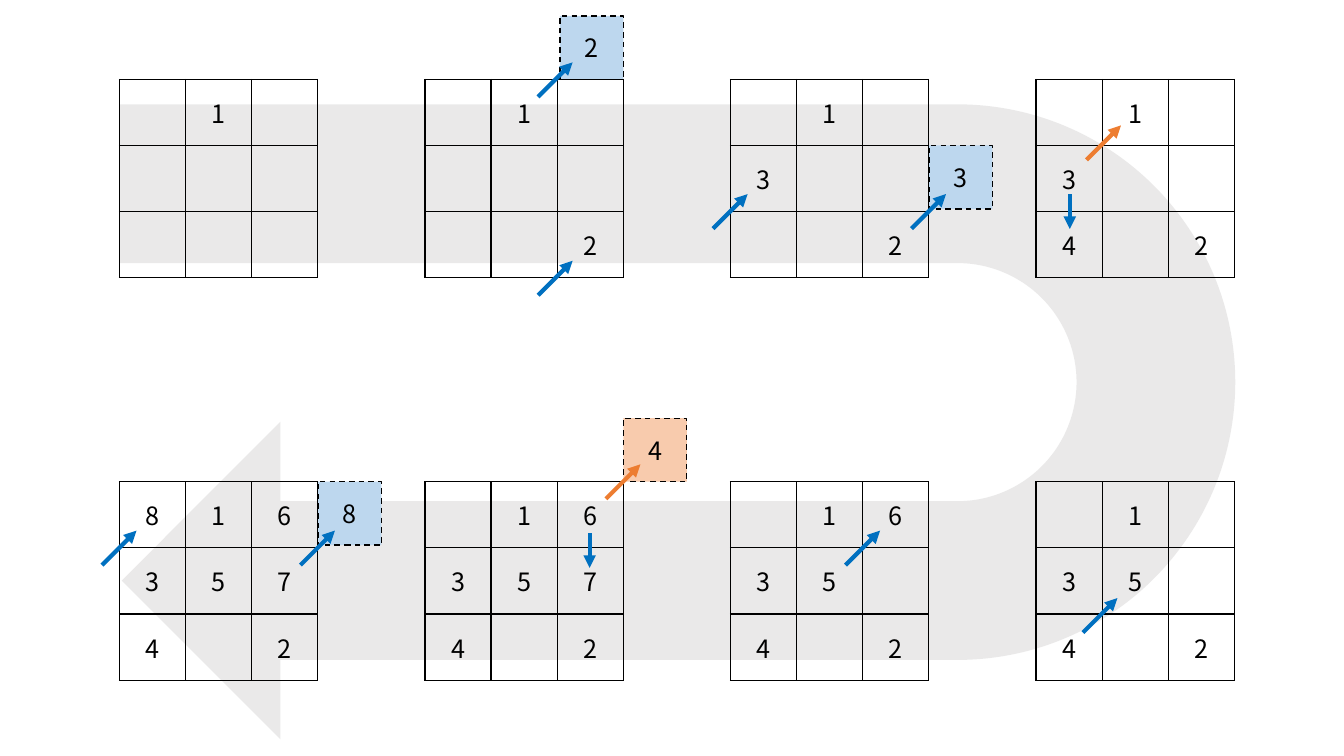
from lxml.etree import SubElement
from pptx import Presentation
from pptx.dml.color import RGBColor
from pptx.enum.dml import MSO_LINE
from pptx.enum.shapes import MSO_CONNECTOR, MSO_SHAPE
from pptx.enum.text import MSO_ANCHOR, PP_ALIGN
from pptx.oxml.ns import qn
from pptx.util import Cm, Pt

FONT = "Noto Sans CJK KR"
COLORS = {"ink": "000000", "path": "AFABAB", "blue": "0070C0", "orange": "ED7D31",
          "pale blue": "BDD7EE", "pale orange": "F8CBAD"}

GRIDS = [
    [" 1 ", "   ", "   "],
    [" 1 ", "   ", "  2"],
    [" 1 ", "3  ", "  2"],
    [" 1 ", "3  ", "4 2"],
    [" 1 ", "35 ", "4 2"],
    [" 16", "35 ", "4 2"],
    [" 16", "357", "4 2"],
    ["816", "357", "4 2"],
]

GRID, TILE, DIAGONAL = 5, 1.6, 0.87
CELL = GRID / 3
LEFT, TOP, PITCH_X, PITCH_Y = 3.01, 2, 7.7, 10.14

OUTSIDE_TILES = [
    (7, "8", GRID, 0, "pale blue"),
    (2, "3", GRID, CELL, "pale blue"),
    (6, "4", GRID, -TILE, "pale orange"),
    (1, "2", GRID - TILE, -TILE, "pale blue"),
]

UP, DOWN = (DIAGONAL, -DIAGONAL), (0, DIAGONAL)
ARROWS = [
    (1, 2.85, 0.44, UP, "blue"),
    (1, 2.85, 5.44, UP, "blue"),
    (2, 4.56, 3.76, UP, "blue"),
    (2, -0.44, 3.76, UP, "blue"),
    (3, 1.27, 2.03, UP, "orange"),
    (3, 0.85, 2.9, DOWN, "blue"),
    (4, 1.18, 3.8, UP, "blue"),
    (5, 2.9, 2.1, UP, "blue"),
    (6, 4.56, 0.43, UP, "orange"),
    (6, 4.15, 1.3, DOWN, "blue"),
    (7, 4.56, 2.1, UP, "blue"),
    (7, -0.44, 2.1, UP, "blue"),
]


def rgb(name):
    return RGBColor.from_string(COLORS[name])


def origin(step):
    column = step if step < 4 else 7 - step
    return LEFT + column * PITCH_X, TOP + step // 4 * PITCH_Y


def write(tf, text):
    p = tf.paragraphs[0]
    p.text = text
    p.alignment = PP_ALIGN.CENTER
    p.font.name, p.font.size, p.font.bold = FONT, Pt(18), False
    p.font.color.rgb = rgb("ink")


def add_border(cell):
    tc_pr = cell._tc.get_or_add_tcPr()
    for side in ("a:lnL", "a:lnR", "a:lnT", "a:lnB"):
        ln = SubElement(tc_pr, qn(side), w=str(Pt(1)))
        fill = SubElement(ln, qn("a:solidFill"))
        SubElement(fill, qn("a:srgbClr"), val=COLORS["ink"])


def add_path():
    sp = shapes.add_shape(MSO_SHAPE.U_TURN_ARROW, Cm(9.07), Cm(-3.43), Cm(16), Cm(28.12))
    sp.rotation = 90
    for i, value in enumerate((0.25, 0.25, 0.25, 0.438, 0.998)):
        sp.adjustments[i] = value
    sp.shadow.inherit = False
    sp.fill.solid()
    sp.fill.fore_color.rgb = rgb("path")
    color = sp._element.spPr.find(qn("a:solidFill"))[0]
    SubElement(color, qn("a:alpha"), val="25000")
    sp.line.fill.background()


def add_tile(step, digit, dx, dy, color):
    x, y = origin(step)
    sp = shapes.add_shape(MSO_SHAPE.RECTANGLE, Cm(x + dx), Cm(y + dy), Cm(TILE), Cm(TILE))
    sp.shadow.inherit = False
    sp.fill.solid()
    sp.fill.fore_color.rgb = rgb(color)
    sp.line.color.rgb = rgb("ink")
    sp.line.width = Pt(1)
    sp.line.dash_style = MSO_LINE.DASH
    sp.text_frame.vertical_anchor = MSO_ANCHOR.MIDDLE
    write(sp.text_frame, digit)


def add_grid(step, rows):
    x, y = origin(step)
    table = shapes.add_table(3, 3, Cm(x), Cm(y), Cm(GRID), Cm(GRID)).table
    table.first_row = table.horz_banding = False
    for r, digits in enumerate(rows):
        table.rows[r].height = table.columns[r].width = Cm(CELL)
        for c, digit in enumerate(digits):
            cell = table.cell(r, c)
            add_border(cell)
            cell.fill.background()
            cell.vertical_anchor = MSO_ANCHOR.MIDDLE
            write(cell.text_frame, digit.strip())


def add_arrow(step, dx, dy, move, color):
    x, y = origin(step)
    x, y = x + dx, y + dy
    line = shapes.add_connector(MSO_CONNECTOR.STRAIGHT, Cm(x), Cm(y),
                                Cm(x + move[0]), Cm(y + move[1]))
    line.line.color.rgb = rgb(color)
    line.line.width = Pt(3)
    sp_pr = line._element.spPr
    SubElement(sp_pr.find(qn("a:ln")), qn("a:tailEnd"), type="triangle")
    SubElement(sp_pr, qn("a:effectLst"))


prs = Presentation()
prs.slide_width, prs.slide_height = Cm(33.87), Cm(19.05)
shapes = prs.slides.add_slide(prs.slide_layouts[6]).shapes

add_path()
for tile in OUTSIDE_TILES:
    add_tile(*tile)
for step, rows in enumerate(GRIDS):
    add_grid(step, rows)
for arrow in ARROWS:
    add_arrow(*arrow)

prs.save("out.pptx")
